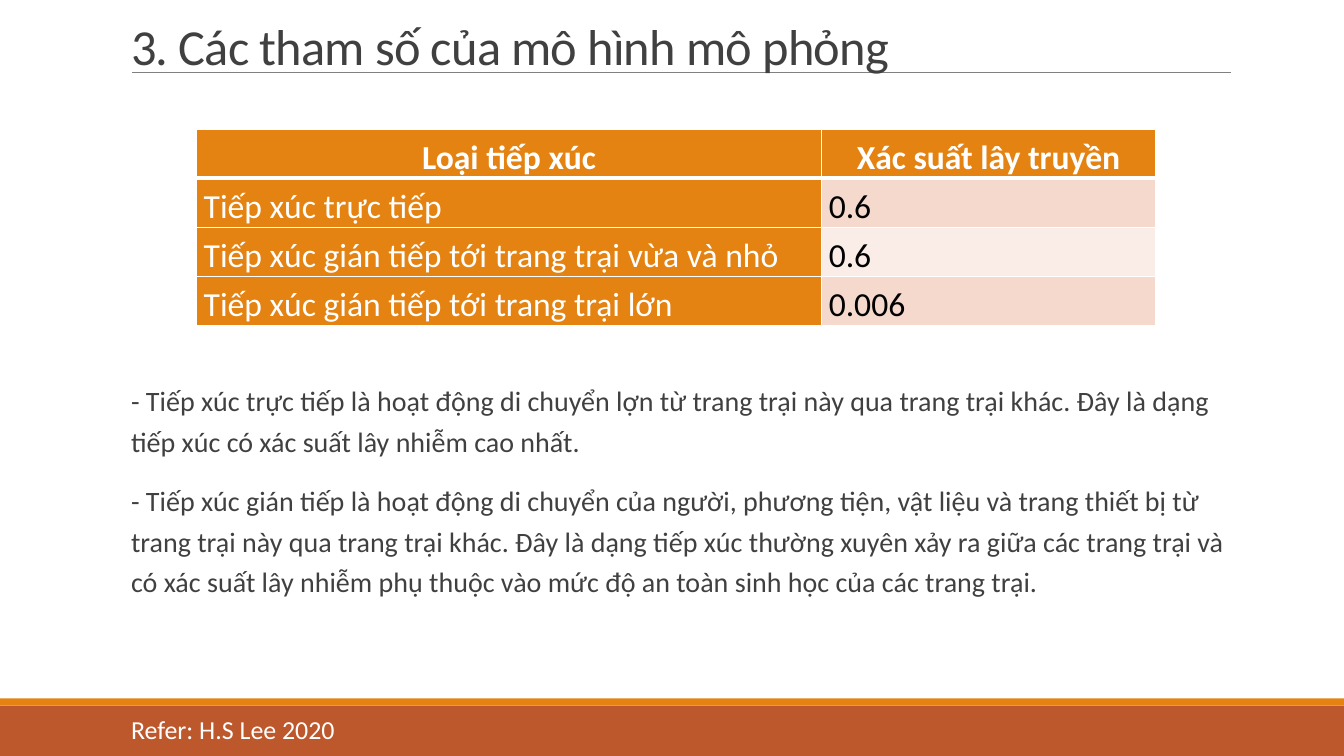
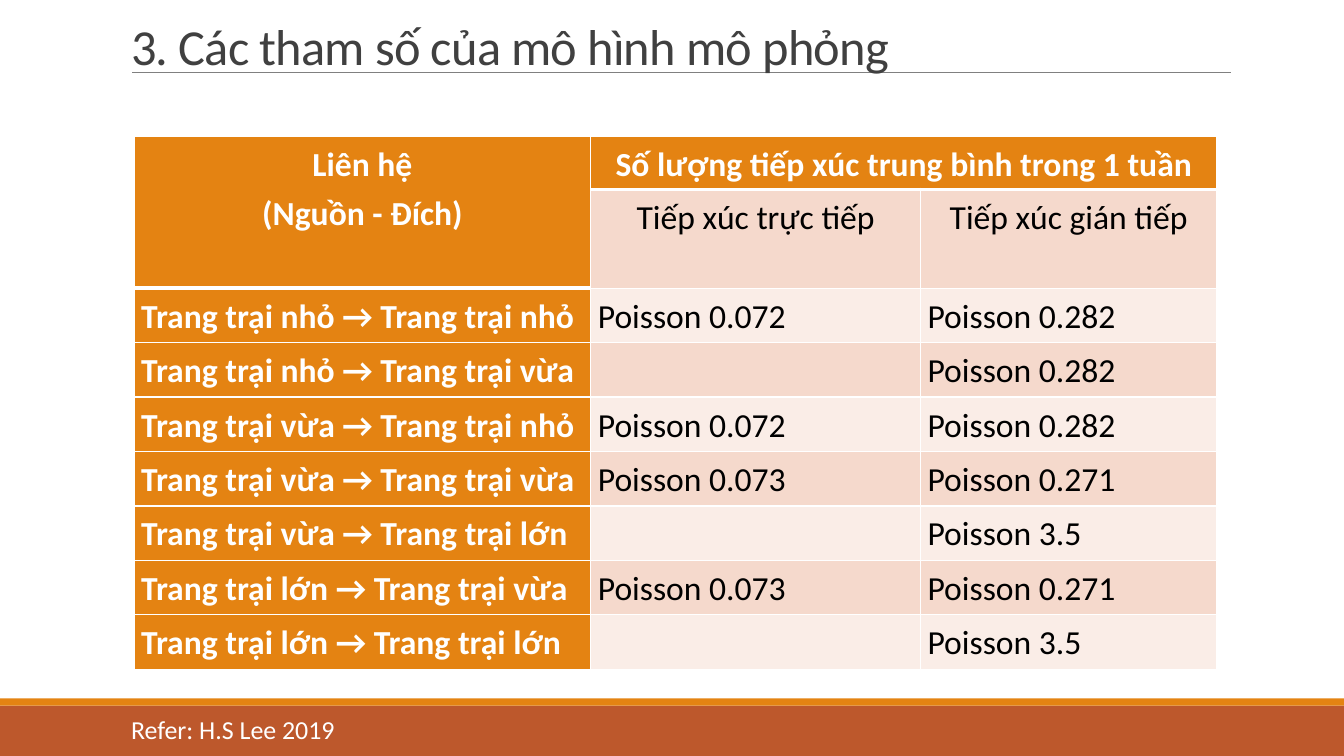
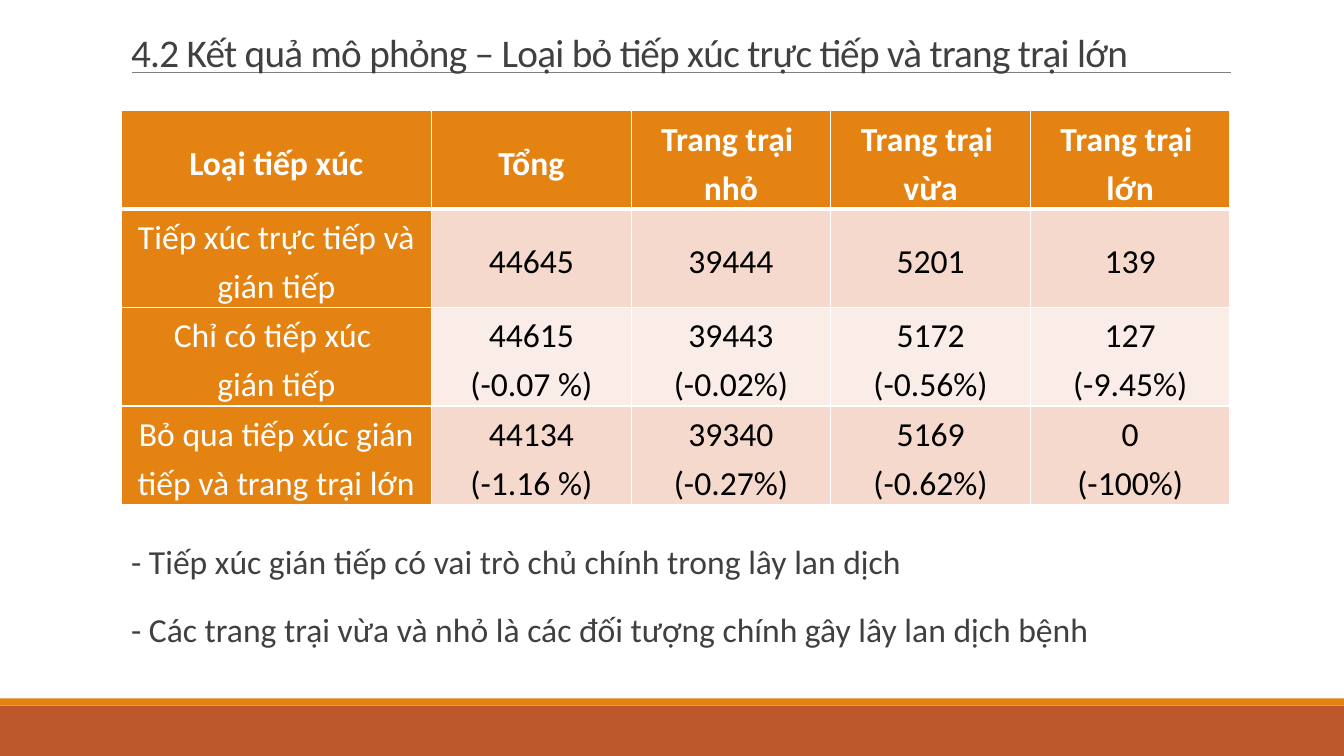
"""Build three slides on the parameters and results of a disease spread simulation."""
import pptx
import pptx.util
import pptx.dml.color
import pptx.enum.shapes
import pptx.enum.text
import lxml.etree
from pptx.util import Inches

RGBColor = pptx.dml.color.RGBColor
RUST = RGBColor(0xBD, 0x58, 0x2C)
ORANGE = RGBColor(0xE4, 0x83, 0x12)
BAND_DARK = RGBColor(0xF5, 0xD9, 0xCC)
BAND_LIGHT = RGBColor(0xFA, 0xED, 0xE7)
INK = RGBColor(0x40, 0x40, 0x40)
GRAY = RGBColor(0x80, 0x80, 0x80)
WHITE = RGBColor(0xFF, 0xFF, 0xFF)
BLACK = RGBColor(0, 0, 0)
FONT = "Calibri"
DRAWING = "{http://schemas.openxmlformats.org/drawingml/2006/main}"
ALIGN = pptx.enum.text.PP_ALIGN
ANCHOR = pptx.enum.text.MSO_ANCHOR


def write(paragraph, text, size=24, color=INK, bold=False, align=ALIGN.LEFT,
          line=1.0, before=0, after=0, tracking=0, indent=0):
    paragraph.text = text
    paragraph.alignment = align
    paragraph.line_spacing = line
    paragraph.space_before = pptx.util.Pt(before)
    paragraph.space_after = pptx.util.Pt(after)
    properties = paragraph._p.get_or_add_pPr()
    properties.set("marL", str(Inches(indent)))
    properties.set("indent", "0")
    lxml.etree.SubElement(properties, DRAWING + "buNone")
    for run in paragraph.runs:
        run.font.name = FONT
        run.font.size = pptx.util.Pt(size)
        run.font.bold = bold
        run.font.color.rgb = color
        if tracking:
            run._r.get_or_add_rPr().set("spc", str(int(tracking * 100)))


def add_grid(slide, left, top, widths, heights, rows, body_align=ALIGN.JUSTIFY,
             anchor=ANCHOR.TOP, bold_labels=False, centered_rows=1):
    table = slide.shapes.add_table(len(rows), len(widths), Inches(left), Inches(top),
                                   Inches(sum(widths)), Inches(sum(heights))).table
    for column, width in zip(table.columns, widths):
        column.width = Inches(width)
    for row, height in zip(table.rows, heights):
        row.height = Inches(height)
    for r, row in enumerate(rows):
        for c, text in enumerate(row):
            header_depth = 2 if c == 0 and rows[1][0] is None else 1
            is_header = r < header_depth
            is_label = is_header or c == 0
            cell = table.cell(r, c)
            cell.margin_left = cell.margin_right = Inches(0.07)
            cell.margin_top = cell.margin_bottom = 0
            cell.vertical_anchor = anchor
            cell.fill.solid()
            cell.fill.fore_color.rgb = ORANGE if is_label else BAND_DARK if r % 2 else BAND_LIGHT
            if text:
                write(cell.text_frame.paragraphs[0], text,
                      color=WHITE if is_label else BLACK,
                      bold=is_header or (bold_labels and c == 0),
                      align=ALIGN.CENTER if r < centered_rows else body_align,
                      line=1.2, before=6)
            edges = {"lnL": 1, "lnR": 1,
                     "lnT": 3 if r == header_depth else 1,
                     "lnB": 3 if r == header_depth - 1 else 1}
            cell_properties = cell._tc.get_or_add_tcPr()
            for position, (edge, weight) in enumerate(edges.items()):
                border = lxml.etree.Element(DRAWING + edge, w=str(pptx.util.Pt(weight)))
                paint = lxml.etree.SubElement(border, DRAWING + "solidFill")
                lxml.etree.SubElement(paint, DRAWING + "srgbClr", val=str(WHITE))
                cell_properties.insert(position, border)
    return table


deck = pptx.Presentation()
deck.slide_width = Inches(13.33)
deck.slide_height = Inches(7.5)
layout = deck.slide_layouts[3]

frames = {0: (1.2, 0.08, 11, 0.72), 1: (1.2, 7.03, 9.63, 0.43), 2: (1.2, 3.69, 11, 3.23)}
for holder in layout.placeholders:
    index = holder.placeholder_format.idx
    if index in frames:
        holder.left, holder.top, holder.width, holder.height = map(Inches, frames[index])

PARAMETERS = "3. Các tham số của mô hình mô phỏng"
contents = [
    (PARAMETERS, 36, "Refer: H.S Lee 2020", 3.69, 20, [
        "- Tiếp xúc trực tiếp là hoạt động di chuyển lợn từ trang trại này qua trang trại khác. "
        "Đây là dạng tiếp xúc có xác suất lây nhiễm cao nhất.",
        "- Tiếp xúc gián tiếp là hoạt động di chuyển của người, phương tiện, vật liệu và trang "
        "thiết bị từ trang trại này qua trang trại khác. Đây là dạng tiếp xúc thường xuyên xảy ra "
        "giữa các trang trại và có xác suất lây nhiễm phụ thuộc vào mức độ an toàn sinh học của "
        "các trang trại."]),
    (PARAMETERS, 36, "Refer: H.S Lee 2019", 0, 0, []),
    ("4.2 Kết quả mô phỏng – Loại bỏ tiếp xúc trực tiếp và trang trại lớn", 28, "", 5.24, 24, [
        "- Tiếp xúc gián tiếp có vai trò chủ chính trong lây lan dịch",
        "- Các trang trại vừa và nhỏ là các đối tượng chính gây lây lan dịch bệnh"]),
]
slides = []
for heading, heading_size, reference, notes_top, notes_size, notes in contents:
    slide = deck.slides.add_slide(layout)
    slides.append(slide)
    title_frame = slide.shapes.title.text_frame
    title_frame.vertical_anchor = ANCHOR.BOTTOM
    title_frame.auto_size = pptx.enum.text.MSO_AUTO_SIZE.NONE
    write(title_frame.paragraphs[0], heading, size=heading_size, line=0.85, tracking=-0.5)

    bodies = [(1, [reference] if reference else [], 18.5, WHITE, 1.0),
              (2, notes, notes_size, INK, 1.2)]
    for index, lines, size, color, line in bodies:
        body = slide.placeholders[index]
        if not lines:
            body.element.getparent().remove(body.element)
            continue
        if index == 2:
            body.left, body.top = Inches(1.2), Inches(notes_top)
            body.width, body.height = Inches(11), Inches(6.92 - notes_top)
        frame = body.text_frame
        frame.margin_left = frame.margin_right = 0
        frame.auto_size = pptx.enum.text.MSO_AUTO_SIZE.NONE
        for number, text in enumerate(lines):
            paragraph = frame.add_paragraph() if number else frame.paragraphs[0]
            write(paragraph, text, size=size, color=color, line=line,
                  before=12, after=2, indent=0.1)

decorations = []
for top, height, color in [(7, 0.5, RUST), (6.93, 0.07, ORANGE)]:
    band = slides[0].shapes.add_shape(pptx.enum.shapes.MSO_SHAPE.RECTANGLE, 0, Inches(top),
                                      deck.slide_width, Inches(height))
    band.shadow.inherit = False
    band.fill.solid()
    band.fill.fore_color.rgb = color
    band.line.fill.background()
    decorations.append(band)
title_rule = slides[0].shapes.add_connector(pptx.enum.shapes.MSO_CONNECTOR.STRAIGHT,
                                            Inches(1.31), Inches(0.72),
                                            Inches(12.21), Inches(0.72))
title_rule.line.color.rgb = GRAY
title_rule.line.width = pptx.util.Pt(0.5)
lxml.etree.SubElement(title_rule.element.spPr, DRAWING + "effectLst")
decorations.append(title_rule)
for number, decoration in enumerate(decorations):
    decoration.element.xpath(".//p:cNvPr")[0].set("id", str(100 + number))
    layout.shapes.element.insert(2 + number, decoration.element)

add_grid(slides[0], 1.95, 1.28, [6.2, 3.31], [0.48] * 4, [
    ["Loại tiếp xúc", "Xác suất lây truyền"],
    ["Tiếp xúc trực tiếp", "0.6"],
    ["Tiếp xúc gián tiếp tới trang trại vừa và nhỏ", "0.6"],
    ["Tiếp xúc gián tiếp tới trang trại lớn", "0.006"],
])

contacts = [
    ("nhỏ", "nhỏ", "0.072", "0.282"),
    ("nhỏ", "vừa", "", "0.282"),
    ("vừa", "nhỏ", "0.072", "0.282"),
    ("vừa", "vừa", "0.073", "0.271"),
    ("vừa", "lớn", "", "3.5"),
    ("lớn", "vừa", "0.073", "0.271"),
    ("lớn", "lớn", "", "3.5"),
]
contact_rows = [
    ["Liên hệ\n(Nguồn - Đích)", "Số lượng tiếp xúc trung bình trong 1 tuần", None],
    [None, "Tiếp xúc trực tiếp", "Tiếp xúc gián tiếp"],
]
for source, target, direct, indirect in contacts:
    contact_rows.append([f"Trang trại {source} → Trang trại {target}",
                         direct and f"Poisson {direct}", f"Poisson {indirect}"])
contact_table = add_grid(slides[1], 1.33, 1.35, [4.53, 3.27, 2.94], [0.53, 0.98] + [0.54] * 7,
                         contact_rows, bold_labels=True, centered_rows=2)
contact_table.cell(0, 0).merge(contact_table.cell(1, 0))
contact_table.cell(0, 1).merge(contact_table.cell(0, 2))

add_grid(slides[2], 1.2, 1.1, [3.08] + [1.98] * 4, [0.96] * 4, [
    ["Loại tiếp xúc", "Tổng", "Trang trại \nnhỏ", "Trang trại \nvừa", "Trang trại \nlớn"],
    ["Tiếp xúc trực tiếp và gián tiếp", "44645", "39444", "5201", "139"],
    ["Chỉ có tiếp xúc \ngián tiếp", "44615\n(-0.07 %)", "39443\n(-0.02%)",
     "5172\n(-0.56%)", "127\n(-9.45%)"],
    ["Bỏ qua tiếp xúc gián tiếp và trang trại lớn", "44134\n(-1.16 %)", "39340\n(-0.27%)",
     "5169\n(-0.62%)", "0\n(-100%)"],
], body_align=ALIGN.CENTER, anchor=ANCHOR.MIDDLE)

deck.save("out.pptx")
